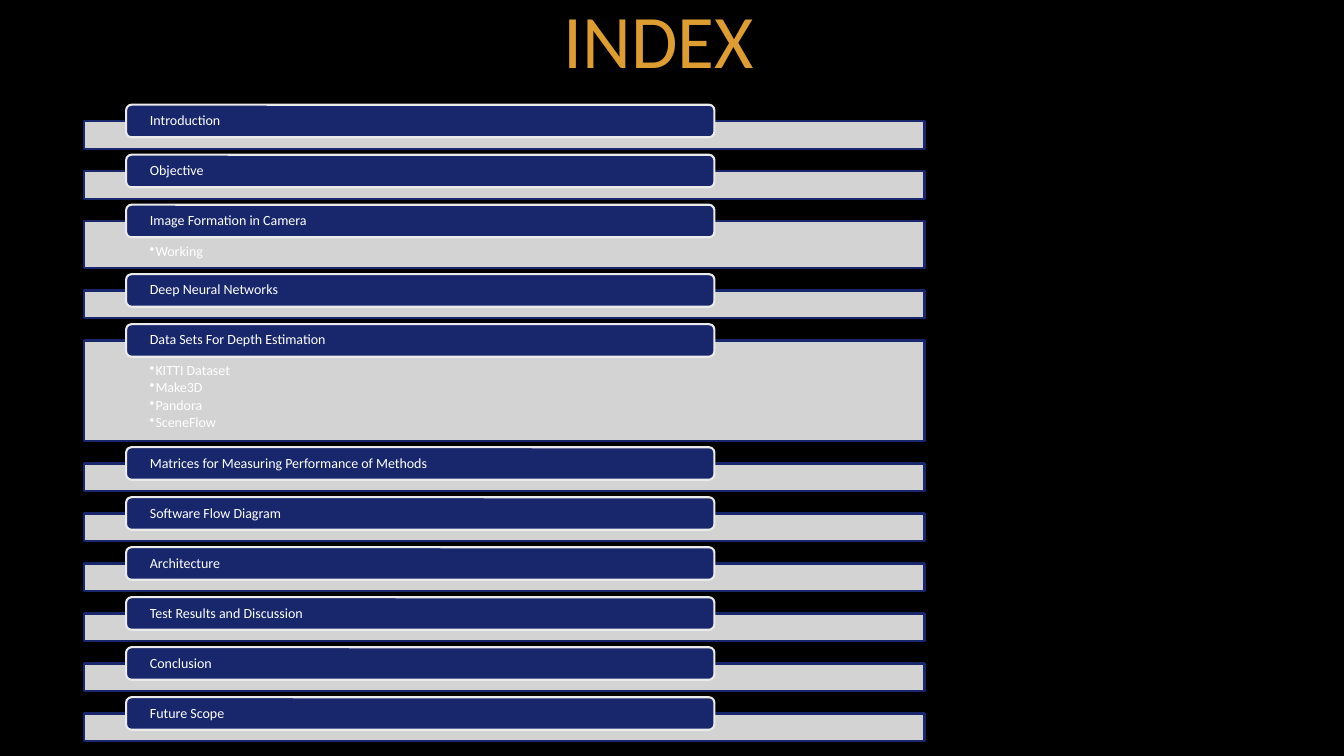
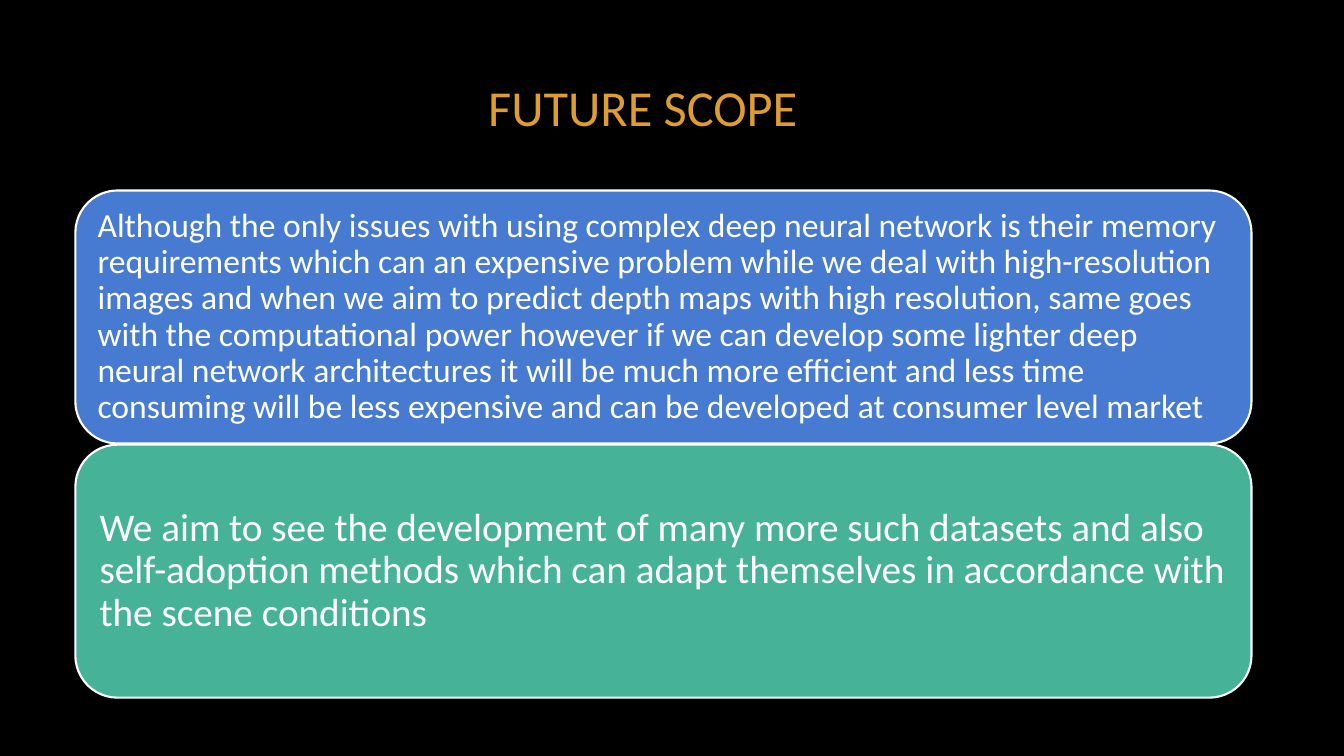
from dataclasses import dataclass

from lxml import etree
from pptx import Presentation
from pptx import util as u
from pptx.dml.color import RGBColor
from pptx.enum import shapes, text
from pptx.oxml.ns import qn


@dataclass(frozen=True)
class Theme:
    font: str = "Calibri"
    background: str = "000000"
    gold: str = "DD9D31"
    white: str = "FFFFFF"
    navy: str = "18276C"
    grey: str = "EBEBEB"
    blue: str = "477BD1"
    green: str = "46B298"
    outline: float = 1.5
    index_title: int = 54
    scope_title: int = 36
    index_text: int = 10
    scope_text: int = 24
    scope_text_large: int = 28


THEME = Theme()

INDEX_ENTRIES = [
    ("Introduction", []),
    ("Objective", []),
    ("Image Formation in Camera", ["Working"]),
    ("Deep Neural Networks", []),
    ("Data Sets For Depth Estimation",
     ["KITTI Dataset", "Make3D", "Pandora", "SceneFlow"]),
    ("Matrices for Measuring Performance of Methods", []),
    ("Software Flow Diagram", []),
    ("Architecture", []),
    ("Test Results and Discussion", []),
    ("Conclusion", []),
    ("Future Scope", []),
]

SCOPE_PANELS = [
    ("Although the only issues with using complex deep neural network is their "
     "memory requirements which can an expensive problem while we deal with "
     "high-resolution images and when we aim to predict depth maps with high "
     "resolution, same goes with the computational power however if we can "
     "develop some lighter deep neural network architectures it will be much "
     "more efficient and less time consuming will be less expensive and can be "
     "developed at consumer level market",
     THEME.blue, THEME.scope_text, 0.25),
    ("We aim to see the development of many more such datasets and also "
     "self-adoption methods which can adapt themselves in accordance with the "
     "scene conditions",
     THEME.green, THEME.scope_text_large, 0.3),
]


def apply_format(target, values):
    for name, value in values.items():
        setattr(target, name, value)


def format_paragraph(paragraph, size, color, align=text.PP_ALIGN.LEFT, after=0):
    apply_format(paragraph, {"alignment": align, "line_spacing": 0.9,
                             "space_before": u.Pt(0), "space_after": u.Pt(after)})
    apply_format(paragraph.font, {"name": THEME.font, "size": u.Pt(size)})
    paragraph.font.color.rgb = RGBColor.from_string(color)


def set_frame(frame, anchor, insets):
    """Insets run left, top, right, bottom in centimetres."""
    sides = ("margin_left", "margin_top", "margin_right", "margin_bottom")
    apply_format(frame, {side: u.Cm(inset) for side, inset in zip(sides, insets)})
    apply_format(frame, {"word_wrap": True, "vertical_anchor": anchor,
                         "auto_size": text.MSO_AUTO_SIZE.NONE})


def add_bullet(paragraph, indent):
    properties = paragraph._p.get_or_add_pPr()
    properties.set("marL", str(u.Cm(indent)))
    properties.set("indent", str(-u.Cm(indent)))
    etree.SubElement(properties, qn("a:buChar")).set("char", "•")


def add_box(slide, kind, box, fill, line):
    shape = slide.shapes.add_shape(kind, *(u.Cm(length) for length in box))
    shape.shadow.inherit = False
    shape.fill.solid()
    shape.fill.fore_color.rgb = RGBColor.from_string(fill)
    shape.line.color.rgb = RGBColor.from_string(line)
    shape.line.width = u.Pt(THEME.outline)
    return shape


def add_titled_slide(presentation, title, box, size):
    slide = presentation.slides.add_slide(presentation.slide_layouts[5])
    placeholder = slide.shapes.title
    names = ("left", "top", "width", "height")
    apply_format(placeholder, {n: u.Cm(length) for n, length in zip(names, box)})
    frame = placeholder.text_frame
    frame.text = title
    set_frame(frame, text.MSO_ANCHOR.MIDDLE, (0.25, 0.13, 0.25, 0.13))
    format_paragraph(frame.paragraphs[0], size, THEME.gold, text.PP_ALIGN.CENTER)
    return slide


def add_index_entry(slide, box, heading, topics):
    left, top, width, height = box

    # Translucent bar with its topics
    bar = add_box(slide, shapes.MSO_SHAPE.RECTANGLE, box, THEME.grey, THEME.navy)
    color = bar.fill._xPr.find(qn("a:solidFill"))[0]
    etree.SubElement(color, qn("a:alpha")).set("val", "90000")
    if topics:
        frame = bar.text_frame
        set_frame(frame, text.MSO_ANCHOR.TOP, (1.65, 0.58, 1.65, 0.2))
        frame.text = "\n".join(topics)
        for paragraph in frame.paragraphs:
            add_bullet(paragraph, 0.15)
            format_paragraph(paragraph, THEME.index_text, THEME.white, after=1.5)

    # Heading tab, centred on the top edge of the bar
    tab_height = 0.82
    tab = add_box(slide, shapes.MSO_SHAPE.ROUNDED_RECTANGLE,
                  (left + width * 0.05, top - tab_height / 2, width * 0.7, tab_height),
                  THEME.navy, THEME.grey)
    set_frame(tab.text_frame, text.MSO_ANCHOR.MIDDLE, (0.56, 0, 0.56, 0))
    tab.text_frame.text = heading
    format_paragraph(tab.text_frame.paragraphs[0], THEME.index_text, THEME.white)


def add_index_list(slide, left, top, width):
    gap = 0.56
    for heading, topics in INDEX_ENTRIES:
        height = 0.74 + 0.45 * len(topics) if topics else 0.7
        add_index_entry(slide, (left, top, width, height), heading, topics)
        top += height + gap


def add_scope_panels(slide, box):
    left, top, width, height = box
    gap = 0.03
    panel_height = (height - gap * (len(SCOPE_PANELS) - 1)) / len(SCOPE_PANELS)
    for index, (words, fill, size, inset) in enumerate(SCOPE_PANELS):
        panel_top = top + index * (panel_height + gap)
        panel = add_box(slide, shapes.MSO_SHAPE.ROUNDED_RECTANGLE,
                        (left, panel_top, width, panel_height), fill, THEME.white)
        set_frame(panel.text_frame, text.MSO_ANCHOR.MIDDLE, (inset,) * 4)
        panel.text_frame.text = words
        format_paragraph(panel.text_frame.paragraphs[0], size, THEME.white)


def main():
    presentation = Presentation()
    presentation.slide_width = u.Cm(33.87)
    presentation.slide_height = u.Cm(19.05)

    # Shared background
    background = presentation.slide_master.background.fill
    background.solid()
    background.fore_color.rgb = RGBColor.from_string(THEME.background)

    # Index
    slide = add_titled_slide(presentation, "INDEX", (1.9, -0.9, 29.4, 4.04),
                             THEME.index_title)
    add_index_list(slide, 2.12, 3.05, 21.18)

    # Future scope
    slide = add_titled_slide(presentation, "FUTURE SCOPE", (2.13, 0.76, 28.14, 4.04),
                             THEME.scope_title)
    add_scope_panels(slide, (1.9, 4.8, 29.64, 12.78))

    presentation.save("out.pptx")


if __name__ == "__main__":
    main()
